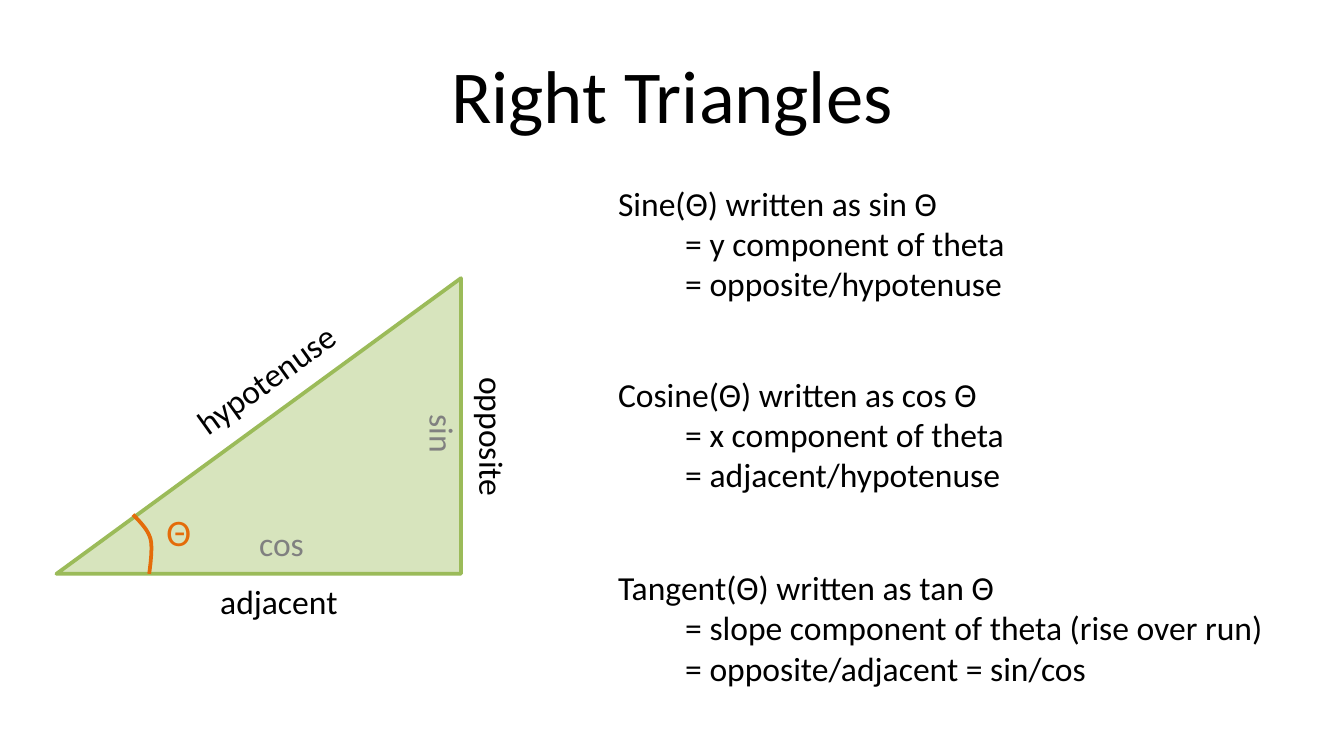
from dataclasses import dataclass

from pptx import Presentation
from pptx.dml.color import RGBColor
from pptx.enum.shapes import MSO_SHAPE
from pptx.enum.text import MSO_ANCHOR, PP_ALIGN
from pptx.util import Inches, Pt

BLACK = RGBColor(0x00, 0x00, 0x00)
GRAY = RGBColor(0x80, 0x80, 0x80)
ORANGE = RGBColor(0xE4, 0x6C, 0x0A)
GREEN = RGBColor(0x9B, 0xBB, 0x59)
PALE_GREEN = RGBColor(0xD7, 0xE4, 0xBD)
FONT = "Calibri"


@dataclass
class Label:
    text: str
    left: float
    top: float
    width: float
    color: RGBColor = BLACK
    rotation: float = 0
    size: int = 18
    height: float = 0.4
    align: PP_ALIGN = PP_ALIGN.CENTER


@dataclass
class Definition:
    top: float
    width: float
    heading: str
    formulas: tuple[str, ...]


LABELS = [
    Label("hypotenuse", 0.87, 2.62, 2.21, rotation=324.3),
    Label("Θ", 1.14, 3.74, 0.68, ORANGE, size=20, height=0.44, align=PP_ALIGN.LEFT),
    Label("opposite", 2.56, 3.05, 2.21, rotation=90),
    Label("adjacent", 0.97, 4.27, 2.21),
    Label("sin", 2.63, 3.03, 1.33, GRAY, rotation=90),
    Label("cos", 1.33, 3.84, 1.53, GRAY),
]
DEFINITIONS = [
    Definition(1.31, 4.92, "Sine(Θ) written as sin Θ",
               ("= y component of theta", "= opposite/hypotenuse")),
    Definition(2.73, 4.92, "Cosine(Θ) written as cos Θ",
               ("= x component of theta", "= adjacent/hypotenuse")),
    Definition(4.17, 5.25, "Tangent(Θ) written as tan Θ",
               ("= slope component of theta (rise over run)",
                "= opposite/adjacent = sin/cos")),
]
# Each curve: start, two control points, end
ANGLE_CURVES = [
    ((0.99, 3.83), (1.04, 3.88), (1.10, 3.94), (1.12, 4.01)),
    ((1.12, 4.01), (1.14, 4.08), (1.11, 4.27), (1.11, 4.27)),
]
CURVE_STEPS = 12


def format_paragraph(paragraph, size: int, color: RGBColor, align: PP_ALIGN) -> None:
    paragraph.alignment = align
    paragraph.font.name = FONT
    paragraph.font.size = Pt(size)
    paragraph.font.color.rgb = color


def add_text_box(slide, left: float, top: float, width: float, height: float):
    box = slide.shapes.add_textbox(Inches(left), Inches(top), Inches(width), Inches(height))
    box.text_frame.word_wrap = True
    return box


def add_label(slide, label: Label) -> None:
    box = add_text_box(slide, label.left, label.top, label.width, label.height)
    box.rotation = label.rotation
    paragraph = box.text_frame.paragraphs[0]
    paragraph.text = label.text
    format_paragraph(paragraph, label.size, label.color, label.align)


def add_definition(slide, definition: Definition) -> None:
    frame = add_text_box(slide, 4.5, definition.top, definition.width, 1.31).text_frame
    frame.text = "\n".join((definition.heading, *definition.formulas))
    for index, paragraph in enumerate(frame.paragraphs):
        format_paragraph(paragraph, 18, BLACK, PP_ALIGN.LEFT)
        if index > 0:
            paragraph._p.get_or_add_pPr().set("marL", str(Inches(0.5)))


def curve_point(curve, t: float) -> tuple[int, int]:
    weights = ((1 - t) ** 3, 3 * t * (1 - t) ** 2, 3 * t ** 2 * (1 - t), t ** 3)
    x, y = (sum(w * point[axis] for w, point in zip(weights, curve)) for axis in (0, 1))
    return Inches(x), Inches(y)


def add_angle_arc(slide) -> None:
    start, *points = [curve_point(curve, step / CURVE_STEPS)
                      for curve in ANGLE_CURVES for step in range(CURVE_STEPS + 1)]
    builder = slide.shapes.build_freeform(*start)
    builder.add_line_segments(points, close=False)
    arc = builder.convert_to_shape()
    arc.shadow.inherit = False
    arc.fill.background()
    arc.line.color.rgb = ORANGE
    arc.line.width = Pt(2)


def add_triangle(slide) -> None:
    triangle = slide.shapes.add_shape(
        MSO_SHAPE.ISOSCELES_TRIANGLE, Inches(0.42), Inches(2.07), Inches(3.01), Inches(2.2))
    triangle.adjustments[0] = 1
    triangle.shadow.inherit = False
    triangle.fill.solid()
    triangle.fill.fore_color.rgb = PALE_GREEN
    triangle.line.color.rgb = GREEN
    triangle.line.width = Pt(2)


# Widescreen slide, 16 to 9
presentation = Presentation()
presentation.slide_width = Inches(10)
presentation.slide_height = Inches(10 * 9 / 16)
slide = presentation.slides.add_slide(presentation.slide_layouts[5])

# Title
title = slide.shapes.title
title.left, title.top = Inches(0.5), Inches(0.23)
title.width, title.height = Inches(9), Inches(0.94)
title.text_frame.text = "Right Triangles"
title.text_frame.vertical_anchor = MSO_ANCHOR.MIDDLE
format_paragraph(title.text_frame.paragraphs[0], 40, BLACK, PP_ALIGN.CENTER)

# Triangle with its angle and side names
add_triangle(slide)
add_angle_arc(slide)
for label in LABELS:
    add_label(slide, label)

# Definitions of the three functions
for definition in DEFINITIONS:
    add_definition(slide, definition)

presentation.save("out.pptx")
